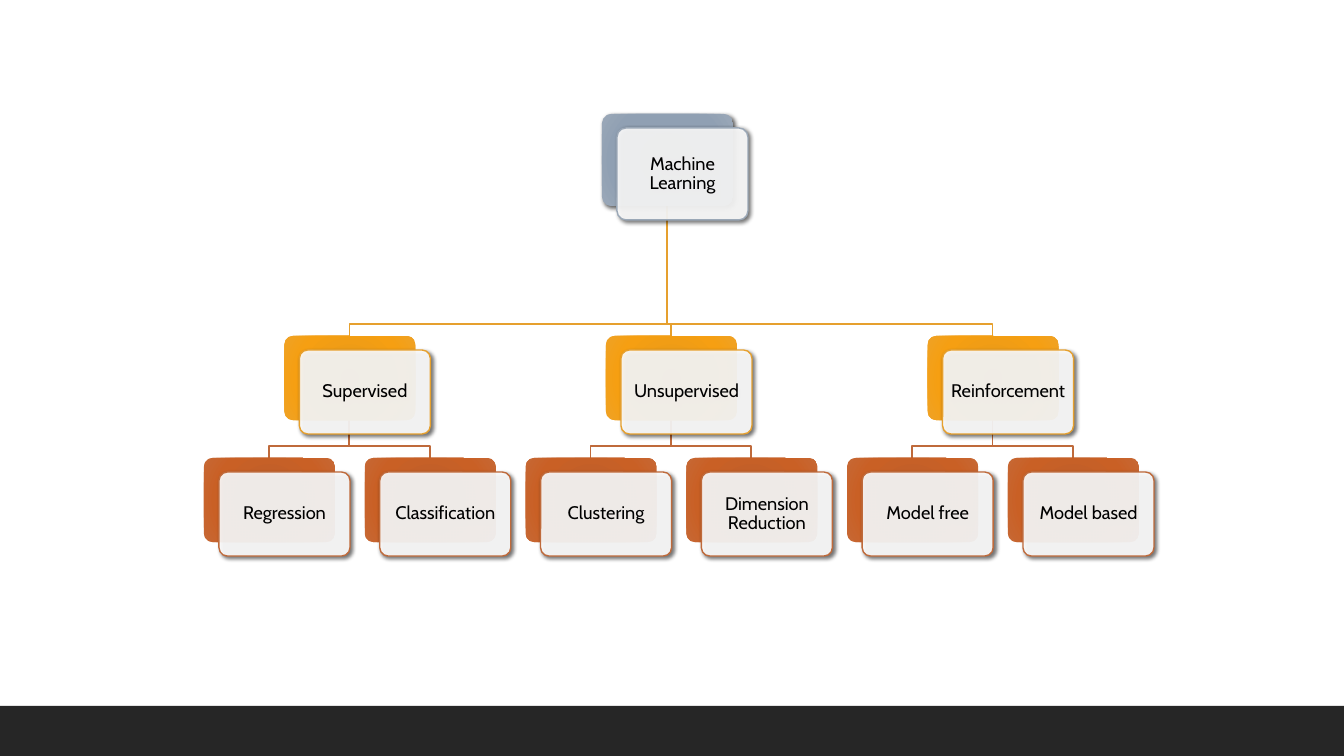
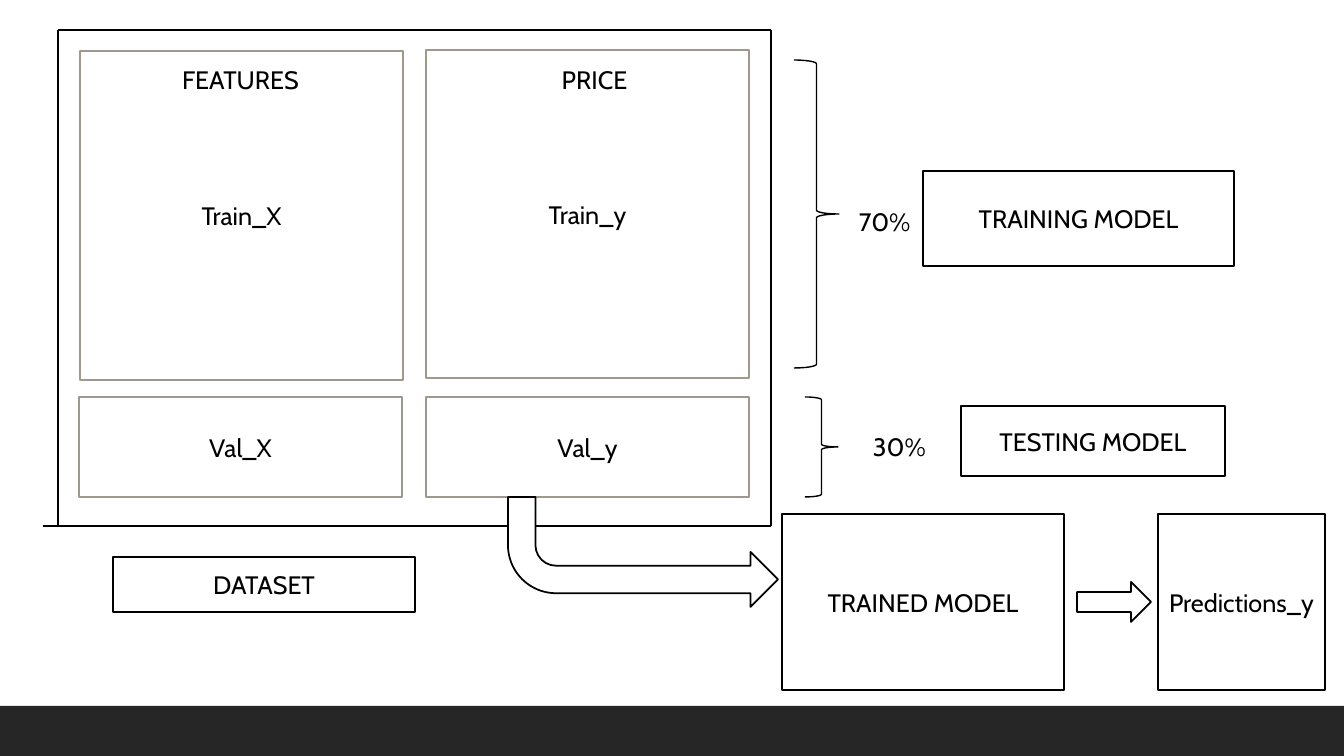
from dataclasses import dataclass

from lxml.etree import SubElement
from pptx import Presentation
from pptx.dml.color import RGBColor
from pptx.enum.shapes import MSO_CONNECTOR, MSO_SHAPE
from pptx.enum.text import MSO_ANCHOR, PP_ALIGN
from pptx.oxml.ns import qn
from pptx.util import Pt

# Content
ROOT = "Machine Learning"
TREE = {
    "Supervised": ["Regression", "Classification"],
    "Unsupervised": ["Clustering", "Dimension Reduction"],
    "Reinforcement": ["Model free", "Model based"],
}
CELLS = [
    ("Train_X", 80, 51, 323, 329),
    ("Train_y", 426, 50, 323, 328),
    ("Val_X", 79, 397, 323, 100),
    ("Val_y", 426, 397, 323, 100),
]
STEPS = [
    ("TRAINED MODEL", 782, 514, 282, 176),
    ("Predictions_y", 1158, 514, 167, 176),
    ("TRAINING MODEL", 923, 171, 311, 95),
    ("TESTING MODEL", 961, 406, 264, 70),
    ("DATASET", 113, 557, 302, 55),
]
LABELS = [
    ("FEATURES", 111, 59, 259, PP_ALIGN.CENTER),
    ("PRICE", 469, 59, 251, PP_ALIGN.CENTER),
    ("70%", 849, 201, 75, PP_ALIGN.LEFT),
    ("30%", 863, 426, 74, PP_ALIGN.LEFT),
]
BRACES = [(794, 60, 45, 308), (805, 397, 33, 100)]
FRAME = [
    (58, 30, 58, 526),
    (58, 30, 771, 30),
    (771, 30, 771, 526),
    (43, 526, 771, 526),
]


@dataclass(frozen=True)
class Theme:
    """Colours, font and type sizes; a tone is a line colour and a gradient."""
    font: str = "Cabin"
    small: int = 13
    large: int = 18
    thin: float = 1
    thick: float = 1.25
    ink: str = "000000"
    paper: str = "FFFFFF"
    band: str = "262626"
    cell: str = "A0988C"
    slate: tuple = ("9BA8B7", ["8D9CAE", "8F9EB0", "90A0B3", "9AA8B8"])
    amber: tuple = ("E6A02E", ["F09B11", "EE9C16", "F69F12", "EFA225"])
    rust: tuple = ("BF6A3B", ["C45D25", "C35F28", "C96025", "C66834"])


THEME = Theme()
SCALE = 914400 / 100.8
WIDTH, HEIGHT, BAND = 1344, 756, 706

# Tree measures: card size, offset of the front card, rows and leaf span
CARD, SHIFT, INSET, BEND = 131, (15, 14), 3, 12
HALF = CARD // 2
ROOT_AT, ROOT_H = (602, 114), 92
MID_Y, LEAF_Y, LOW_H = 336, 458, 84
FIRST, LAST = 204, 1008


def emu(*values):
    """Turn pixels into EMU."""
    return [round(value * SCALE) for value in values]


def paint(shape, fill, line, width=THEME.thick):
    """Set fill and line, either of which may be None, and drop the shadow."""
    shape.shadow.inherit = False
    if fill:
        shape.fill.solid()
        shape.fill.fore_color.rgb = RGBColor.from_string(fill)
    else:
        shape.fill.background()
    if line:
        shape.line.color.rgb = RGBColor.from_string(line)
        shape.line.width = Pt(width)
    else:
        shape.line.fill.background()
    return shape


def add_box(slide, kind, box, fill, line, width=THEME.thick):
    """Add a painted preset shape."""
    return paint(slide.shapes.add_shape(kind, *emu(*box)), fill, line, width)


def write(shape, text, size, align=PP_ALIGN.CENTER, anchor=MSO_ANCHOR.MIDDLE):
    """Put one paragraph of text in a shape."""
    frame = shape.text_frame
    frame.word_wrap = True
    frame.vertical_anchor = anchor
    frame.text = text
    para = frame.paragraphs[0]
    para.alignment = align
    para.font.name = THEME.font
    para.font.size = Pt(size)
    para.font.color.rgb = RGBColor.from_string(THEME.ink)
    return frame


def blend(shape, colors):
    """Replace the fill with a radial gradient."""
    shape.fill.background()
    props = shape.element.spPr
    blank = props.find(qn("a:noFill"))
    grad = SubElement(props, qn("a:gradFill"), rotWithShape="1")
    props.replace(blank, grad)
    stops = SubElement(grad, qn("a:gsLst"))
    for place, color in zip((0, 34, 70, 100), colors):
        stop = SubElement(stops, qn("a:gs"), pos=str(place * 1000))
        SubElement(stop, qn("a:srgbClr"), val=color)
    ring = SubElement(grad, qn("a:path"), path="circle")
    SubElement(ring, qn("a:fillToRect"), l="100000", t="100000",
               r="100000", b="100000")


def fade(color, percent):
    """Give a colour element an opacity."""
    SubElement(color, qn("a:alpha"), val=str(percent * 1000))


def shade(shape):
    """Cast a soft shadow to the lower right."""
    effects = shape.element.spPr.find(qn("a:effectLst"))
    cast = SubElement(effects, qn("a:outerShdw"), blurRad=str(Pt(3)),
                      dist=str(Pt(2)), dir="2700000", algn="tl",
                      rotWithShape="0")
    fade(SubElement(cast, qn("a:srgbClr"), val=THEME.ink), 60)


def add_card(slide, text, left, top, high, tone, deep=False):
    """Add a tinted card with a clear text card in front of it."""
    line, colors = tone
    kind = MSO_SHAPE.ROUNDED_RECTANGLE
    back = add_box(slide, kind, (left, top, CARD, high), THEME.paper, None)
    blend(back, colors)
    if deep:
        shade(back)
    place = (left + SHIFT[0], top + SHIFT[1], CARD, high)
    front = add_box(slide, kind, place, THEME.paper, line, THEME.thin)
    fade(front.element.spPr.find(qn("a:solidFill") + "/" + qn("a:srgbClr")), 90)
    shade(front)
    back.adjustments[0] = front.adjustments[0] = 0.1
    frame = write(front, text, THEME.small)
    frame.margin_left = frame.margin_right = emu(INSET)[0]
    frame.paragraphs[0].line_spacing = 0.9


def add_elbow(slide, start, left, top, color):
    """Join a parent's foot to the top of a child card."""
    x, y = start
    end = left + HALF
    path = slide.shapes.build_freeform(*emu(x, y))
    points = [(x, top - BEND), (end, top - BEND), (end, top)]
    path.add_line_segments([emu(*point) for point in points], close=False)
    paint(path.convert_to_shape(), None, color)


def draw_tree(slide):
    """Draw the root, its branches and their leaves, lines first."""
    x, y = ROOT_AT
    cards = [(ROOT, x, y, ROOT_H, THEME.slate, True)]
    elbows = []
    count = sum(map(len, TREE.values()))
    step = (LAST - FIRST) / (count - 1)
    spot = FIRST
    for name, leaves in TREE.items():
        lefts = [spot + step * i for i in range(len(leaves))]
        spot += step * len(leaves)
        mid = sum(lefts) / len(lefts)
        cards.append((name, mid, MID_Y, LOW_H, THEME.amber))
        elbows.append(((x + HALF, y + ROOT_H), mid, MID_Y, THEME.amber[0]))
        for leaf, left in zip(leaves, lefts):
            cards.append((leaf, left, LEAF_Y, LOW_H, THEME.rust))
            foot = (mid + HALF, MID_Y + LOW_H)
            elbows.append((foot, left, LEAF_Y, THEME.rust[0]))
    for elbow in elbows:
        add_elbow(slide, *elbow)
    for card in cards:
        add_card(slide, *card)


def add_line(slide, *ends):
    """Add a thin straight line without a shadow."""
    line = slide.shapes.add_connector(MSO_CONNECTOR.STRAIGHT, *emu(*ends))
    line.line.color.rgb = RGBColor.from_string(THEME.ink)
    line.line.width = Pt(THEME.thin)
    SubElement(line.element.spPr, qn("a:effectLst"))


def draw_split(slide):
    """Draw the data split and the way to the predictions."""
    ink, paper = THEME.ink, THEME.paper
    for text, *box in CELLS:
        cell = add_box(slide, MSO_SHAPE.RECTANGLE, box, paper, THEME.cell)
        write(cell, text, THEME.large)
    for ends in FRAME:
        add_line(slide, *ends)
    for box in BRACES:
        add_box(slide, MSO_SHAPE.RIGHT_BRACE, box, None, ink, THEME.thin)
    for text, left, top, wide, align in LABELS:
        label = slide.shapes.add_textbox(*emu(left, top, wide, 40))
        write(label, text, THEME.large, align, MSO_ANCHOR.TOP)
    for text, *box in STEPS:
        step = add_box(slide, MSO_SHAPE.RECTANGLE, box, paper, ink)
        write(step, text, THEME.large)
    bend = add_box(slide, MSO_SHAPE.BENT_ARROW, (508, 497, 270, 110), paper, ink)
    bend.element.spPr.find(qn("a:xfrm")).set("flipV", "1")
    add_box(slide, MSO_SHAPE.RIGHT_ARROW, (1077, 582, 74, 40), paper, ink)


def add_band(deck, slide):
    """Draw the dark foot band and move it to the slide master."""
    box = (0, BAND, WIDTH, HEIGHT - BAND)
    band = add_box(slide, MSO_SHAPE.RECTANGLE, box, THEME.band, None)
    deck.slide_master.shapes.element.append(band.element)


def main():
    """Build and save the deck."""
    deck = Presentation()
    deck.slide_width, deck.slide_height = emu(WIDTH, HEIGHT)
    blank = deck.slide_layouts[6]
    slides = [deck.slides.add_slide(blank) for _ in range(2)]
    add_band(deck, slides[0])
    for draw, slide in zip((draw_tree, draw_split), slides):
        draw(slide)
    deck.save("out.pptx")


main()
